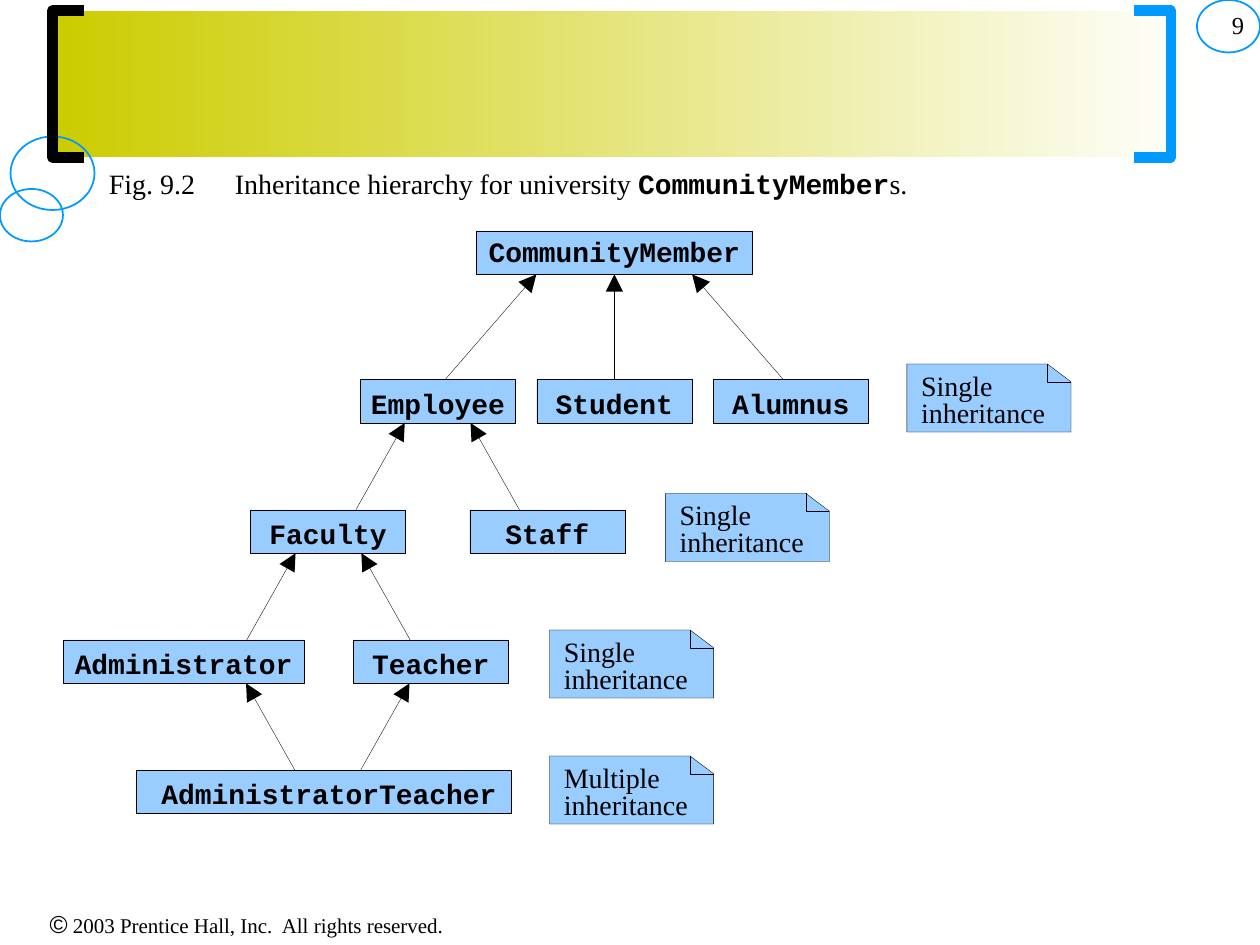
import pptx
import pptx.util
import pptx.dml.color
import pptx.enum.shapes
import pptx.enum.text
import pptx.oxml
import pptx.oxml.ns

Pt = pptx.util.Pt
RGBColor = pptx.dml.color.RGBColor
Shape = pptx.enum.shapes.MSO_SHAPE
Align = pptx.enum.text.PP_ALIGN

BLACK = RGBColor(0x00, 0x00, 0x00)
WHITE = RGBColor(0xFF, 0xFF, 0xFF)
OLIVE = RGBColor(0xCC, 0xCC, 0x00)
AZURE = RGBColor(0x00, 0x99, 0xFF)
SKY = RGBColor(0x99, 0xCC, 0xFF)
SERIF, MONO, SANS = "Times New Roman", "Courier New", "Arial"
HAIRLINE = 0.2


class Diagram:
    """Holds the slide and draws each kind of element; lengths in points."""

    box_height = 24.8

    def __init__(self, slide):
        self.slide = slide
        self.shapes = slide.shapes

    def paint(self, shape, fill, line, width):
        shape.shadow.inherit = False
        if fill is None:
            shape.fill.background()
        else:
            shape.fill.solid()
            shape.fill.fore_color.rgb = fill
        shape.line.color.rgb = line
        shape.line.width = Pt(width)

    def fill_text(self, frame, runs, align=Align.LEFT, margins=(7.2, 3.6, 7.2, 3.6),
                  spacing=None, wrap=True, tab=None):
        """Each run is (text, font, size, bold)."""
        frame.word_wrap = wrap
        frame.vertical_anchor = pptx.enum.text.MSO_ANCHOR.TOP
        (frame.margin_left, frame.margin_top,
         frame.margin_right, frame.margin_bottom) = map(Pt, margins)
        line = frame.paragraphs[0]
        line.alignment = align
        if spacing:
            line.line_spacing = spacing
        if tab:
            stops = pptx.oxml.parse_xml(
                f'<a:tabLst {pptx.oxml.ns.nsdecls("a")}>'
                f'<a:tab pos="{Pt(tab)}" algn="l"/></a:tabLst>')
            line._p.get_or_add_pPr().append(stops)
        for text, font, size, bold in runs:
            run = line.add_run()
            run.text = text
            run.font.name, run.font.size, run.font.bold = font, Pt(size), bold
            run.font.color.rgb = BLACK

    def text(self, left, top, width, height, runs, **style):
        box = self.shapes.add_textbox(Pt(left), Pt(top), Pt(width), Pt(height))
        self.fill_text(box.text_frame, runs, **style)

    def ellipse(self, left, top, width, height):
        ring = self.shapes.add_shape(Shape.OVAL, Pt(left), Pt(top), Pt(width), Pt(height))
        self.paint(ring, None, AZURE, 1)

    def banner(self, left, top, width, height):
        band = self.shapes.add_shape(Shape.RECTANGLE, Pt(left), Pt(top), Pt(width), Pt(height))
        band.shadow.inherit = False
        band.fill.gradient()
        band.fill.gradient_angle = 0
        for stop, color in zip(band.fill.gradient_stops, (OLIVE, WHITE)):
            stop.color.rgb = color
        band.line.fill.background()

    def outline(self, points, fill, line, width, close=False):
        corners = [(Pt(x), Pt(y)) for x, y in points]
        builder = self.shapes.build_freeform(*corners[0])
        builder.add_line_segments(corners[1:], close=close)
        shape = builder.convert_to_shape()
        self.paint(shape, fill, line, width)
        return shape

    def class_box(self, name, left, top, width, drop=7.4, indent=0):
        box = self.shapes.add_shape(Shape.RECTANGLE, Pt(left), Pt(top),
                                    Pt(width), Pt(self.box_height))
        self.paint(box, SKY, BLACK, HAIRLINE)
        self.fill_text(box.text_frame, [(name, MONO, 16, True)], align=Align.CENTER,
                       margins=(indent, drop, 0, 0), spacing=0.8)
        return box

    def note(self, text, left, top, width=93.8, height=38.9, fold=(13.5, 10.2)):
        right, bottom = left + width, top + height
        crease, tip = (right - fold[0], top), (right, top + fold[1])
        page = self.outline([crease, tip, (right, bottom), (left, bottom), (left, top)],
                            SKY, BLACK, HAIRLINE, close=True)
        self.fill_text(page.text_frame, [(text, SERIF, 16, False)],
                       margins=(8.2, 6.3, 8.4, 0), spacing=0.8)
        self.outline([tip, (crease[0], tip[1]), crease], None, BLACK, HAIRLINE)

    def arrow(self, x1, y1, x2, y2):
        link = self.shapes.add_connector(pptx.enum.shapes.MSO_CONNECTOR.STRAIGHT,
                                         Pt(x1), Pt(y1), Pt(x2), Pt(y2))
        link.line.color.rgb = BLACK
        link.line.width = Pt(HAIRLINE)
        link.line._get_or_add_ln().append(pptx.oxml.parse_xml(
            f'<a:tailEnd {pptx.oxml.ns.nsdecls("a")} type="triangle" w="lg" len="lg"/>'))
        link._element.spPr.append(pptx.oxml.parse_xml(
            f'<a:effectLst {pptx.oxml.ns.nsdecls("a")}/>'))
        return link


def main():
    deck = pptx.Presentation()
    deck.slide_width, deck.slide_height = Pt(720), Pt(540)
    diagram = Diagram(deck.slides.add_slide(deck.slide_layouts[6]))

    # Banner with brackets and rings
    diagram.banner(30, 6, 657, 84)
    diagram.ellipse(6, 78, 48, 42)
    for inner, outer, color in ((48, 30, BLACK), (648, 669, AZURE)):
        diagram.outline([(inner, 6), (outer, 6), (outer, 90), (inner, 90)], None, color, 6)
    for left, top in ((0, 108), (684, 0)):
        diagram.ellipse(left, top, 36, 30)

    # Class boxes, one row per level
    root_top = 132
    rows = [216.9 + 74.4 * level for level in range(4)]
    base = Diagram.box_height
    community = diagram.class_box("CommunityMember", 272.2, root_top, 157.7, drop=5.6)
    diagram.class_box("Employee", 205.9, rows[0], 88.7)
    student = diagram.class_box("Student", 306.7, rows[0], 88.7)
    diagram.class_box("Alumnus", 407.5, rows[0], 88.7)
    diagram.class_box("Faculty", 143.1, rows[1], 88.7)
    diagram.class_box("Staff", 268.4, rows[1], 88.7)
    diagram.class_box("Administrator", 36.2, rows[2], 137.5)
    diagram.class_box("Teacher", 201.8, rows[2], 88.7)
    diagram.class_box("AdministratorTeacher", 78, rows[3], 214.2, indent=5.8)

    # Inheritance arrows, in mirrored pairs: axis, start spread, end spread, start, end
    pairs = [
        (351, 96.6, 44.5, rows[0], root_top + base),
        (250.1, 46.7, 18.8, rows[1], rows[0] + base),
        (187.7, 46.7, 18.8, rows[2], rows[1] + base),
        (187.3, 18.8, 46.7, rows[3], rows[2] + base),
    ]
    for axis, start_spread, end_spread, start, end in pairs:
        for side in (-1, 1):
            diagram.arrow(axis + side * start_spread, start, axis + side * end_spread, end)
    student_link = diagram.arrow(351, rows[0], 351, root_top + base)
    student_link.begin_connect(student, 0)
    student_link.end_connect(community, 2)

    # Notes on the kind of inheritance
    for kind, left, top in (("Single", 518.2, 208), ("Single", 380.2, 282),
                            ("Single", 314, 360), ("Multiple", 314, 432)):
        diagram.note(f"{kind} inheritance", left, top)

    # Caption, page number and copyright line
    diagram.text(55.2, 91.5, 471, 26.6, [
        ("Fig. 9.2\tInheritance hierarchy for university ", SERIF, 16, False),
        ("CommunityMember", MONO, 16, True),
        ("s.", SERIF, 16, False)], wrap=False, tab=72)
    diagram.text(568, 2.2, 150, 36, [("9", SERIF, 14, False)], align=Align.RIGHT)
    diagram.text(0, 516.2, 282, 24.5, [
        ("©", SANS, 14, False),
        (" 2003 Prentice Hall, Inc.  All rights reserved.", SERIF, 12, False)],
        align=Align.CENTER)

    deck.save("out.pptx")


if __name__ == "__main__":
    main()
